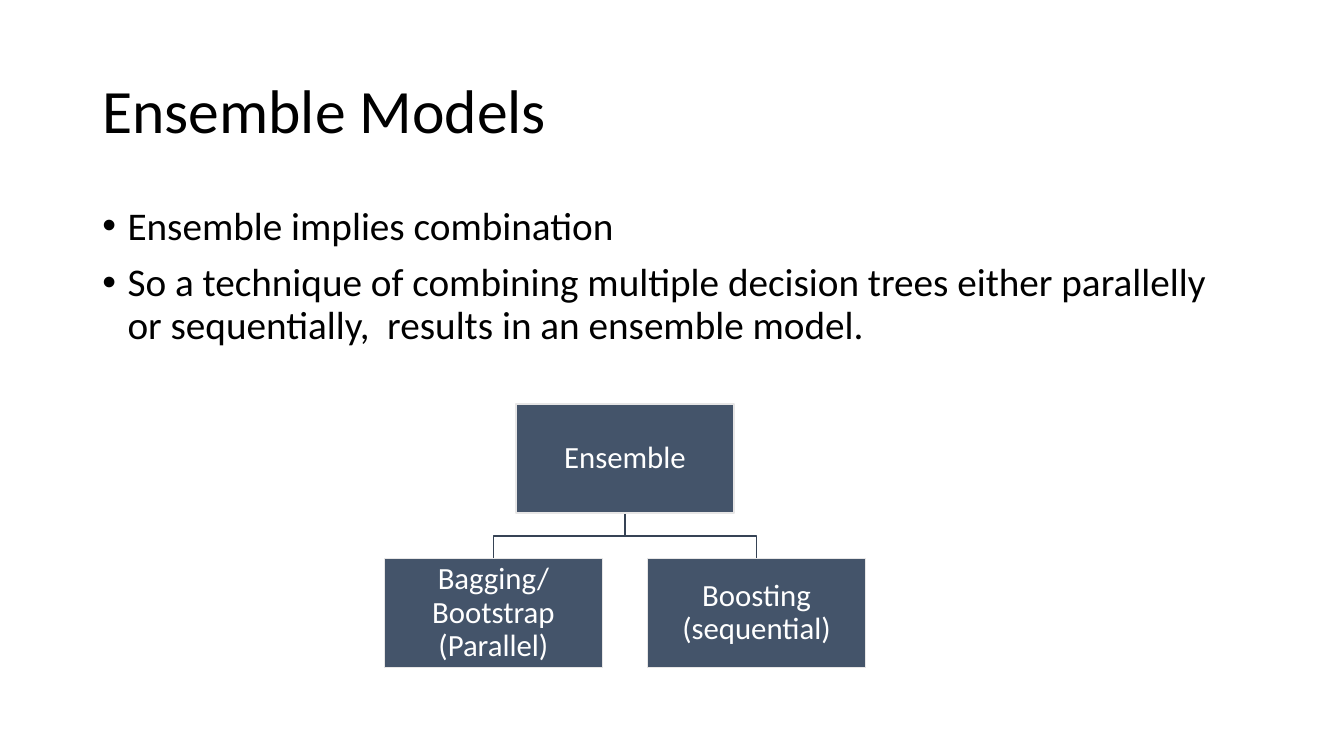
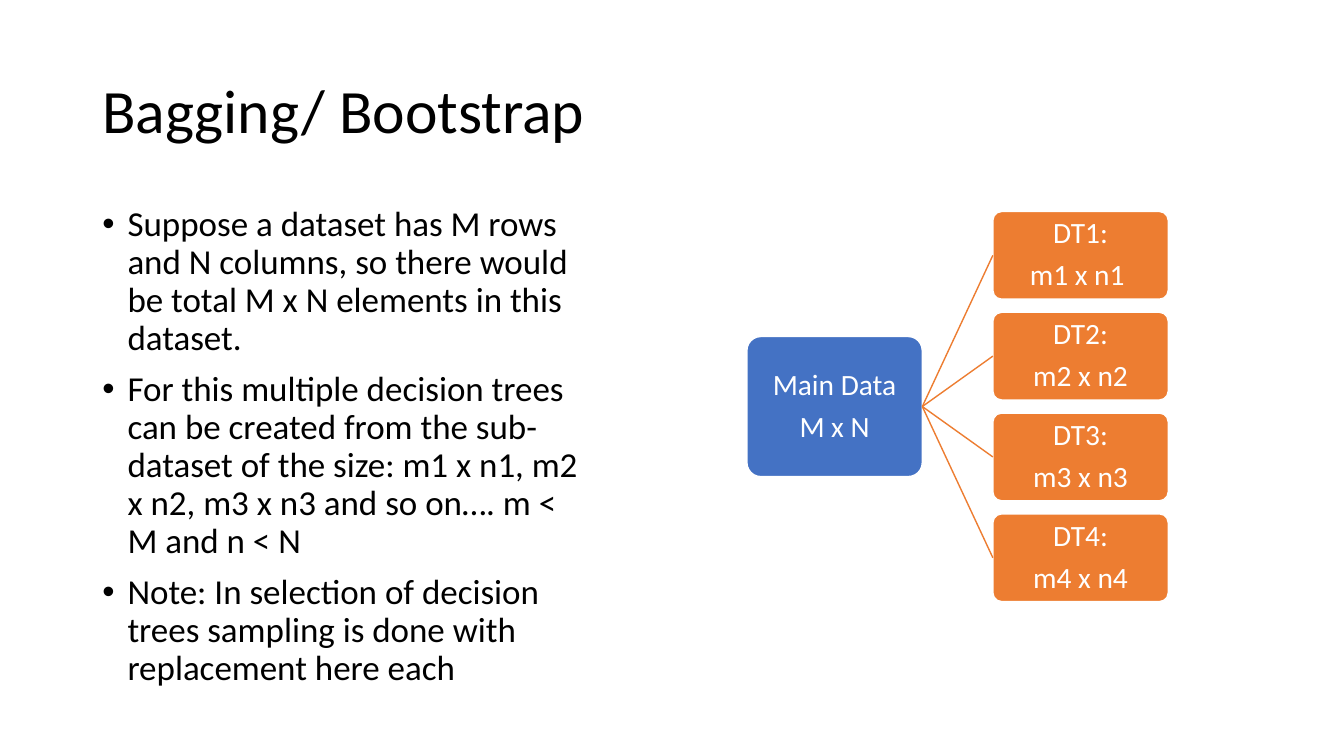
"""Build two slides on ensemble models and bagging."""
from dataclasses import dataclass
from typing import Sequence

from lxml import etree
from pptx import Presentation
from pptx import util as u
from pptx.dml.color import RGBColor
from pptx.enum import shapes, text
from pptx.oxml import ns

COLS, ROWS = 160, 90
WIDE, HIGH = u.Inches(13.33), u.Inches(7.5)


@dataclass(frozen=True)
class Theme:
    font: str = "Calibri"
    ink: str = "000000"
    white: str = "FFFFFF"
    slate: str = "44546A"
    pale: str = "E7E6E6"
    wire: str = "364355"
    blue: str = "4472C4"
    orange: str = "ED7D31"
    title: float = 44
    body: float = 28
    small: float = 25
    node: float = 22
    leaf: float = 21
    leading: float = 0.9
    line: float = 1


@dataclass(frozen=True)
class Area:
    left: float
    top: float
    width: float
    height: float


@dataclass(frozen=True)
class Node:
    lines: Sequence[str]
    mid: float
    row: float
    width: float
    height: float
    fill: str
    edge: str
    size: float
    round: bool = False


THEME = Theme()
HEAD = Area(11, 4.8, 138, 17.4)
FULL = Area(11, 24, 138, 57.1)
HALF = Area(11, 24, 60.5, 59.4)


def col(n: float) -> int:
    return round(WIDE * n / COLS)


def row(n: float) -> int:
    return round(HIGH * n / ROWS)


def rgb(code: str) -> RGBColor:
    return RGBColor.from_string(code)


def write(frame, lines: Sequence[str], size: float, tint: str,
          align=text.PP_ALIGN.LEFT, before: float = 0, after: float = 0) -> None:
    frame.word_wrap = True
    frame.text = "\n".join(lines)
    for para in frame.paragraphs:
        para.alignment = align
        para.line_spacing = THEME.leading
        para.space_before, para.space_after = u.Pt(before), u.Pt(after)
        for run in para.runs:
            run.font.name = THEME.font
            run.font.size = u.Pt(size)
            run.font.color.rgb = rgb(tint)


def add_box(slide, area: Area):
    box = slide.shapes.add_textbox(
        col(area.left), row(area.top), col(area.width), row(area.height))
    return box.text_frame


def add_title(slide, words: str) -> None:
    frame = add_box(slide, HEAD)
    write(frame, [words], THEME.title, THEME.ink)
    frame.vertical_anchor = text.MSO_ANCHOR.MIDDLE


def add_list(slide, area: Area, lines: Sequence[str], size: float) -> None:
    frame = add_box(slide, area)
    write(frame, lines, size, THEME.ink, before=10)
    for para in frame.paragraphs:
        props = para._p.get_or_add_pPr()
        props.set("marL", str(u.Inches(0.25)))
        props.set("indent", str(-u.Inches(0.25)))
        etree.SubElement(props, ns.qn("a:buFont")).set("typeface", "Arial")
        etree.SubElement(props, ns.qn("a:buChar")).set("char", "•")


def add_node(slide, node: Node):
    kind = shapes.MSO_SHAPE
    shape = slide.shapes.add_shape(
        kind.ROUNDED_RECTANGLE if node.round else kind.RECTANGLE,
        col(node.mid - node.width / 2), row(node.row - node.height / 2),
        col(node.width), row(node.height))
    if node.round:
        shape.adjustments[0] = 0.1
    shape.shadow.inherit = False
    shape.fill.solid()
    shape.fill.fore_color.rgb = rgb(node.fill)
    shape.line.color.rgb = rgb(node.edge)
    shape.line.width = u.Pt(THEME.line)
    frame = shape.text_frame
    frame.margin_left = frame.margin_right = u.Inches(0.02)
    frame.margin_top = frame.margin_bottom = u.Inches(0.02)
    frame.vertical_anchor = text.MSO_ANCHOR.MIDDLE
    write(frame, node.lines, node.size, THEME.white,
          text.PP_ALIGN.CENTER, after=0.35 * node.size)
    return shape


def add_elbow(slide, top: Node, low: Node) -> None:
    start, end = top.row + top.height / 2, low.row - low.height / 2
    half = (start + end) / 2
    pen = slide.shapes.build_freeform(col(top.mid), row(start))
    pen.add_line_segments(
        [(col(top.mid), row(half)), (col(low.mid), row(half)),
         (col(low.mid), row(end))], close=False)
    elbow = pen.convert_to_shape()
    elbow.shadow.inherit = False
    elbow.fill.background()
    elbow.line.color.rgb = rgb(THEME.wire)
    elbow.line.width = u.Pt(THEME.line)


def add_link(slide, start, end) -> None:
    link = slide.shapes.add_connector(shapes.MSO_CONNECTOR.STRAIGHT, 0, 0, 0, 0)
    link.begin_connect(start, 3)
    link.end_connect(end, 1)
    link.line.color.rgb = rgb(THEME.orange)
    link.line.width = u.Pt(THEME.line)
    etree.SubElement(link._element.spPr, ns.qn("a:effectLst"))


def draw_tree(slide) -> None:
    mid, step, drop = 74.4, 15.66, 18.4

    def node(words: str, side: int, level: int) -> Node:
        return Node([words], mid + side * step, 54.6 + level * drop,
                    25.92, 12.96, THEME.slate, THEME.pale, THEME.node)

    root = node("Ensemble", 0, 0)
    kids = [node("Bagging/ Bootstrap (Parallel)", -1, 1),
            node("Boosting (sequential)", 1, 1)]
    for kid in kids:
        add_elbow(slide, root, kid)
    for item in (root, *kids):
        add_node(slide, item)


def draw_fan(slide) -> None:
    mid, step, width = 48.4, 12, 20.88
    leaves = ["m1 x n1 ", "m2 x n2", "m3 x n3", "m4 x n4"]
    main = add_node(slide, Node(
        ["Main Data", "M x N"], 99.36, mid, width, 16.68,
        THEME.blue, THEME.white, THEME.leaf, True))
    for i, size in enumerate(leaves):
        leaf = add_node(slide, Node(
            [f"DT{i + 1}:", size], 128.64, mid + step * (i - (len(leaves) - 1) / 2),
            width, 10.44, THEME.orange, THEME.white, THEME.leaf, True))
        add_link(slide, main, leaf)


def main() -> None:
    deck = Presentation()
    deck.slide_width, deck.slide_height = WIDE, HIGH
    blank = deck.slide_layouts[6]

    slide = deck.slides.add_slide(blank)
    add_title(slide, "Ensemble Models")
    add_list(slide, FULL, [
        "Ensemble implies combination",
        "So a technique of combining multiple decision trees either parallelly "
        "or sequentially,  results in an ensemble model.",
    ], THEME.body)
    draw_tree(slide)

    slide = deck.slides.add_slide(blank)
    add_title(slide, "Bagging/ Bootstrap")
    add_list(slide, HALF, [
        "Suppose a dataset has M rows and N columns, so there would be total "
        "M x N elements in this dataset.",
        "For this multiple decision trees can be created from the sub-dataset "
        "of the size: m1 x n1, m2 x n2, m3 x n3 and so on…. m < M and n < N",
        "Note: In selection of decision trees sampling is done with "
        "replacement here each",
    ], THEME.small)
    draw_fan(slide)

    deck.save("out.pptx")


if __name__ == "__main__":
    main()
